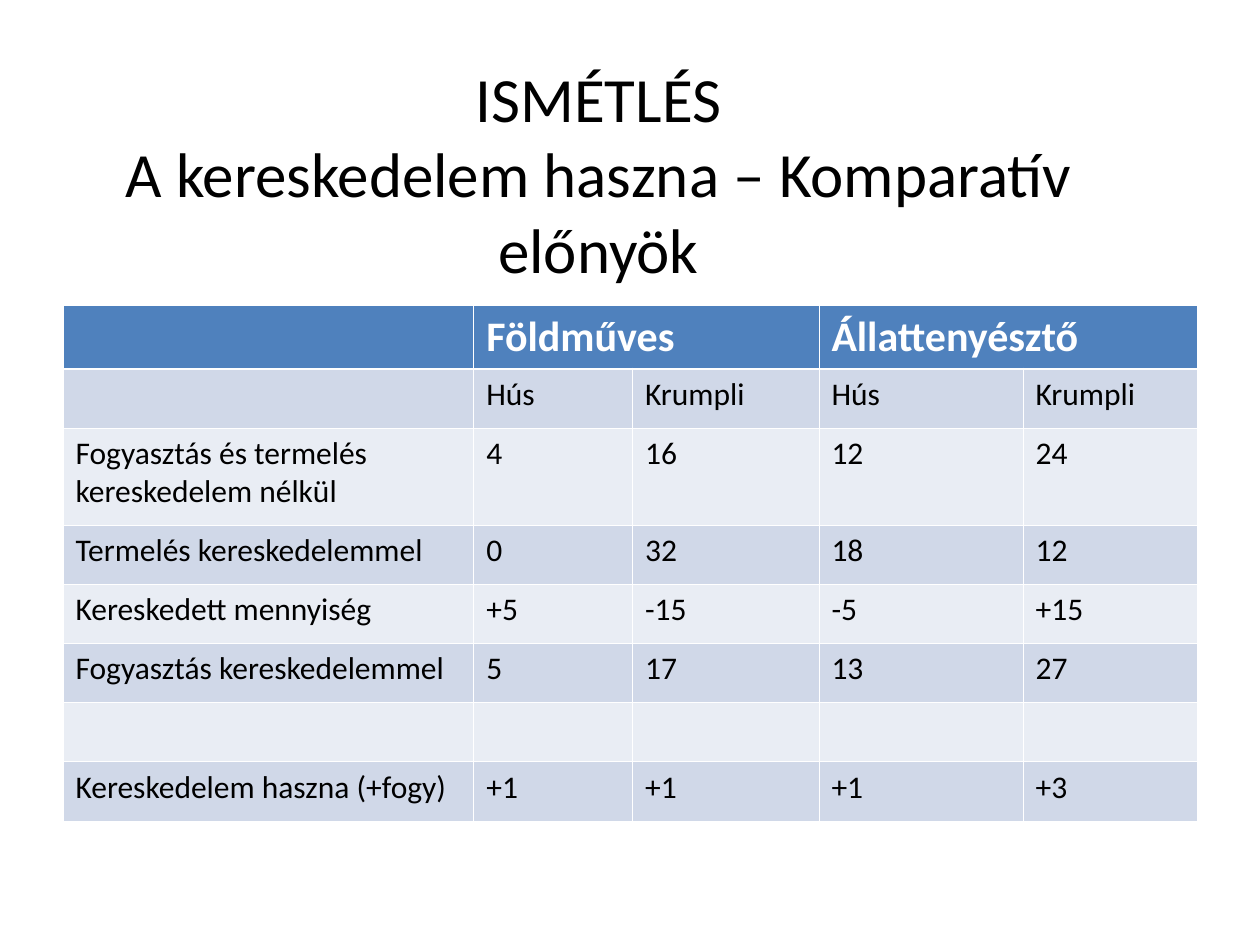
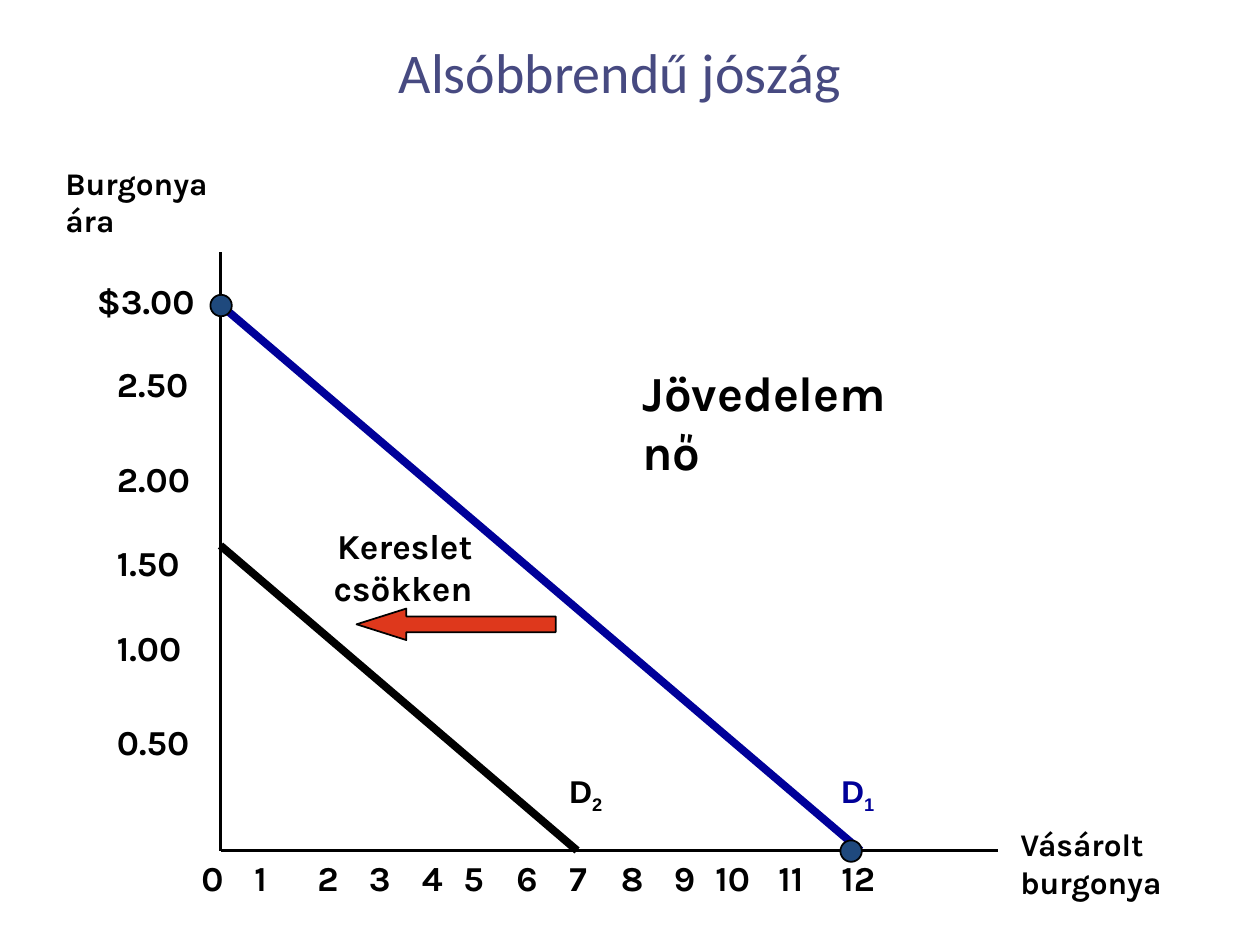
from lxml import etree
from pptx import Presentation
from pptx.dml.color import RGBColor
from pptx.enum.shapes import MSO_CONNECTOR, MSO_SHAPE
from pptx.enum.text import MSO_ANCHOR, MSO_AUTO_SIZE, PP_ALIGN
from pptx.oxml.ns import qn
from pptx.util import Inches, Pt

LINE = MSO_CONNECTOR.STRAIGHT
OVAL, ARROW = MSO_SHAPE.OVAL, MSO_SHAPE.LEFT_ARROW
LEFT, MID, RIGHT = PP_ALIGN.LEFT, PP_ALIGN.CENTER, PP_ALIGN.RIGHT
TOP, FIXED = MSO_ANCHOR.TOP, MSO_AUTO_SIZE.NONE

COLORS = {
    "black": "000000", "white": "FFFFFF", "title": "474A81",
    "head": "4F81BD", "dark": "D0D8E8", "light": "E9EDF4",
    "blue": "000099", "dot": "1F497D", "red": "DE381C",
}

# Slide 1: gains from trade
TRADE_TITLE = "ISMÉTLÉS\vA kereskedelem haszna – Komparatív előnyök"
TRADE = [
    ["", "Földműves", "", "Állattenyésztő", ""],
    ["", "Hús", "Krumpli", "Hús", "Krumpli"],
    ["Fogyasztás és termelés kereskedelem nélkül", "4", "16", "12", "24"],
    ["Termelés kereskedelemmel", "0", "32", "18", "12"],
    ["Kereskedett mennyiség", "+5", "-15", "-5", "+15"],
    ["Fogyasztás kereskedelemmel", "5", "17", "13", "27"],
    ["", "", "", "", ""],
    ["Kereskedelem haszna (+fogy)", "+1", "+1", "+1", "+3"],
]
WIDTHS = [3.26, 1.26, 1.48, 1.62, 1.38]
HEIGHTS = [0.5, 0.47, 0.77] + [0.47] * 5

# Slide 2: demand for an inferior good
GOOD_TITLE = "Alsóbbrendű jószág"
ZERO_X, ZERO_Y = 1.75, 6.75
LINES = [  # start, end, colour, width
    ((ZERO_X, 2), (ZERO_X, ZERO_Y), "black", 2.25),
    ((ZERO_X, ZERO_Y), (7.92, ZERO_Y), "black", 2.25),
    ((ZERO_X, 2.42), (6.83, ZERO_Y), "blue", 4.5),
    ((ZERO_X, 4.33), (4.58, ZERO_Y), "black", 4.5),
]
DOTS = [(6.75, ZERO_Y), (ZERO_X, 2.42)]
PRICES = [("2.50", 2.83), ("2.00", 3.58), ("1.50", 4.25), ("1.00", 4.92), ("0.50", 5.67)]
AMOUNTS = [1.5, 1.92, 2.42, 2.83, 3.25, 3.58, 4, 4.42, 4.83, 5.25, 5.58, 6.08, 6.58]
NOTES = [  # text, left, top, width, height, size
    ("$3.00", 0.67, 2.17, 1, 0.44, 20),
    ("Burgonya ára", 0.42, 1.25, 1.67, 0.7, 18),
    ("Vásárolt burgonya", 8, 6.5, 1.67, 0.7, 18),
    ("Jövedelem nő", 5, 2.83, 2.58, 1.04, 28),
]
CURVES = [("1", 6.58, "blue"), ("2", 4.42, "black")]


def rgb(name):
    return RGBColor.from_string(COLORS[name])


def style(par, size, color="black", face="Calibri", bold=False, align=LEFT):
    par.alignment = align
    font = par.font
    font.size, font.name, font.bold = Pt(size), face, bold
    font.color.rgb = rgb(color)


def add_slide(prs, text, left, top, size, color):
    slide = prs.slides.add_slide(prs.slide_layouts[5])
    title = slide.shapes.title
    title.left, title.top = Inches(left), Inches(top)
    title.width, title.height = Inches(8.5), Inches(1.25)
    frame = title.text_frame
    frame.text = text
    frame.vertical_anchor, frame.auto_size = TOP, FIXED
    style(frame.paragraphs[0], size, color, align=MID)
    return slide


def add_edges(cell, top, bottom):
    props = cell._tc.get_or_add_tcPr()
    for tag, width in (("lnL", 0.45), ("lnR", 0.45), ("lnT", top), ("lnB", bottom)):
        edge = etree.SubElement(props, qn("a:" + tag), w=str(Pt(width)))
        fill = etree.SubElement(edge, qn("a:solidFill"))
        etree.SubElement(fill, qn("a:srgbClr"), val=COLORS["white"])


def add_trade(slide):
    table = slide.shapes.add_table(
        len(HEIGHTS), len(WIDTHS), Inches(0.5), Inches(2.42),
        Inches(sum(WIDTHS)), Inches(sum(HEIGHTS))).table
    for col, width in zip(table.columns, WIDTHS):
        col.width = Inches(width)
    for r, (row, height) in enumerate(zip(TRADE, HEIGHTS)):
        table.rows[r].height = Inches(height)
        fill = "head" if r == 0 else "dark" if r % 2 else "light"
        for c, text in enumerate(row):
            cell = table.cell(r, c)
            cell.text = text
            add_edges(cell, 1.47 if r == 1 else 0.45, 1.47 if r == 0 else 0.45)
            cell.fill.solid()
            cell.fill.fore_color.rgb = rgb(fill)
            par = cell.text_frame.paragraphs[0]
            if r == 0:
                style(par, 24, "white", bold=True)
            else:
                style(par, 18)
    for c in (1, 3):
        table.cell(0, c).merge(table.cell(0, c + 1))


def add_text(slide, text, left, top, width, height, size=20,
             color="black", face="Karla", align=LEFT):
    box = slide.shapes.add_textbox(
        Inches(left), Inches(top), Inches(width), Inches(height))
    frame = box.text_frame
    frame.word_wrap = True
    par = frame.paragraphs[0]
    par.text = text
    style(par, size, color, face, True, align)
    return frame


def add_line(slide, start, end, color, width):
    line = slide.shapes.add_connector(LINE, *map(Inches, start + end))
    line.line.color.rgb, line.line.width = rgb(color), Pt(width)
    etree.SubElement(line._element.spPr, qn("a:effectLst"))


def add_shape(slide, kind, left, top, width, height, color):
    shape = slide.shapes.add_shape(
        kind, Inches(left), Inches(top), Inches(width), Inches(height))
    shape.shadow.inherit = False
    shape.fill.solid()
    shape.fill.fore_color.rgb = rgb(color)
    shape.line.color.rgb, shape.line.width = rgb("black"), Pt(1)
    return shape


def add_demand(slide):
    # Axes, demand curves and end points
    for line in LINES:
        add_line(slide, *line)
    for x, y in DOTS:
        add_shape(slide, OVAL, x - 0.08, y - 0.08, 0.17, 0.17, "dot")

    # Scale labels
    for text, top in PRICES:
        add_text(slide, text, 0.83, top, 0.83, 0.44)
    for n, left in enumerate(AMOUNTS):
        add_text(slide, str(n), left, 6.75, 0.5 if n < 9 else 0.58, 0.44)

    # Axis names and notes
    for note in NOTES:
        add_text(slide, *note)
    frame = add_text(slide, "Kereslet csökken", 2.17, 4.16, 1.58, 0.67, align=RIGHT)
    frame.margin_left = frame.margin_right = frame.margin_top = frame.margin_bottom = 0

    # Curve names with subscripts
    for sub, left, color in CURVES:
        frame = add_text(slide, "D", left, 6.08, 0.83, 0.44, 18, color, "Arial")
        run = frame.paragraphs[0].add_run()
        run.text = sub
        run._r.get_or_add_rPr().set("baseline", "-25000")

    # Shift of demand
    arrow = add_shape(slide, ARROW, 2.83, 4.83, 1.58, 0.25, "red")
    arrow.adjustments[0], arrow.adjustments[1] = 0.5, 1.58


def main():
    prs = Presentation()
    prs.slide_width, prs.slide_height = Inches(10), Inches(7.5)
    add_trade(add_slide(prs, TRADE_TITLE, 0.5, 0.42, 36, "black"))
    add_demand(add_slide(prs, GOOD_TITLE, 0.67, 0.25, 32, "title"))
    prs.save("out.pptx")


if __name__ == "__main__":
    main()
